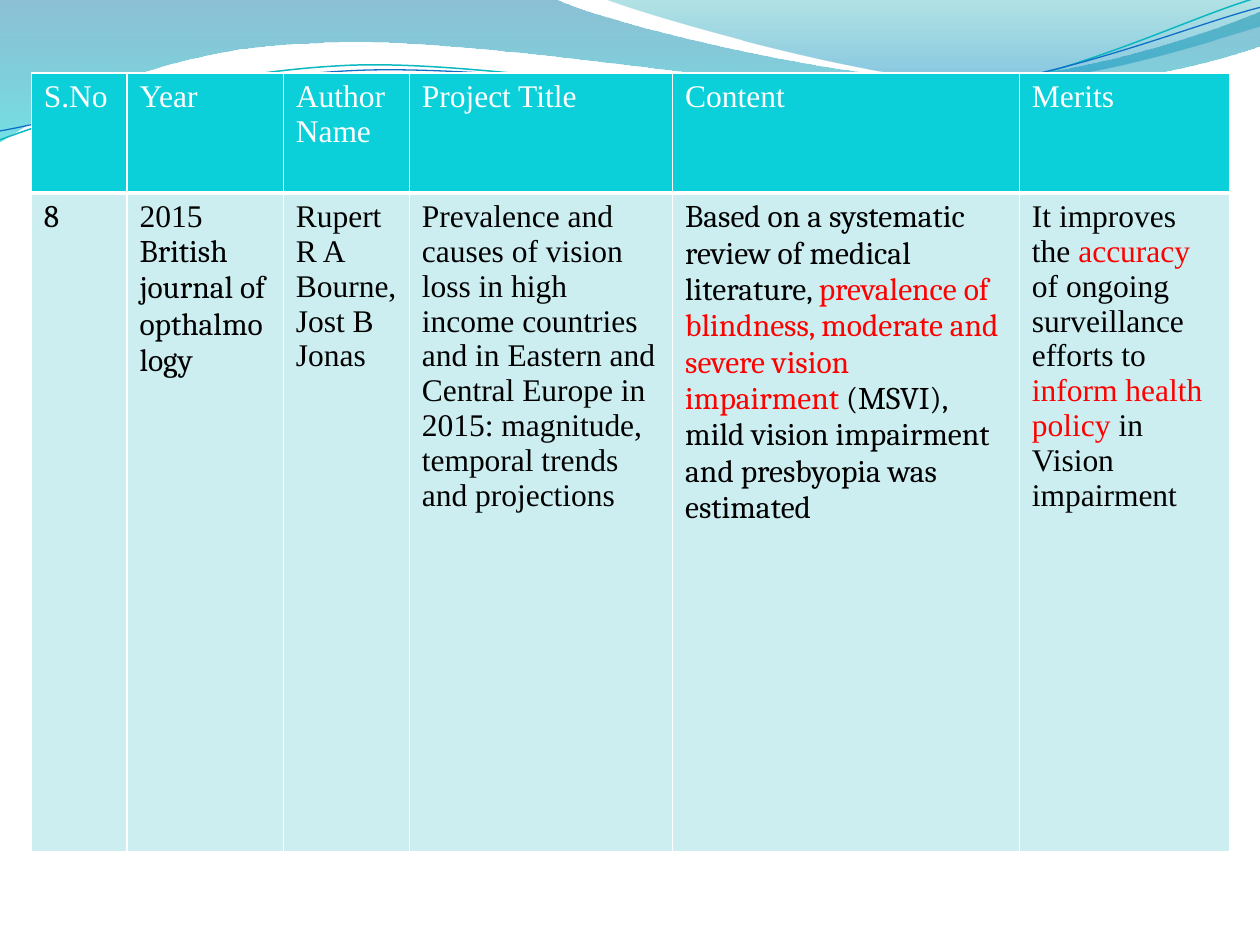
import lxml.etree
import pptx
import pptx.dml.color
import pptx.oxml.ns
import pptx.util

Cm = pptx.util.Cm
Pt = pptx.util.Pt
qn = pptx.oxml.ns.qn

COLORS = {
    "white": "FFFFFF", "ink": "000000", "accent": "FF0000",
    "header": "0BD0D9", "body": "CCEEF1",
    "deep blue": "0074A1", "aqua": "00C6CF", "teal": "00A1A9", "sky": "008BBF",
    "teal line": "0AB8BF", "blue line": "0F6FC6",
}
SERIF, CAMBRIA = "Times New Roman", "Cambria"

BANDS = [
    ([(0, 0), (11.18, -0.03), (12.09, 0.43, 16.87, 1.6, 19.25, 1.6),
      (21.67, 1.6, 24.33, 0.66, 25.4, 0.23), (25.43, 0.91),
      (24.97, 1.12, 22.1, 1.93, 18.95, 1.91), (15.8, 1.91, 9.7, 0.71, 6.53, 0.86),
      (3.28, 0.91, 1.17, 2.11, -0.03, 2.87)],
     [(0, "deep blue", 45), (1, "aqua", 55)]),
    ([(12.17, -0.03), (12.93, 0.28, 17.32, 1.57, 19.53, 1.65),
      (21.74, 1.75, 24.41, 0.81, 25.4, 0.53), (25.4, 0)],
     [(0, "teal", 30), (0.8, "sky", 45)]),
]
STRANDS = [
    ([(-0.05, 2.22), (1.19, 1.82, 4.02, 1.04, 7.05, 1.05),
      (10.05, 1.07, 15.02, 2.37, 18.08, 2.29), (21.13, 2.2, 23.87, 0.91, 25.41, 0.55)],
     "teal line", 0.85),
    ([(-0.04, 2.04), (1.16, 1.9, 4.18, 1.15, 7.2, 1.16),
      (10.25, 1.18, 15.13, 2.25, 18.18, 2.17), (21.21, 2.1, 23.93, 1.06, 25.45, 0.75)],
     "blue line", 0.75),
]
STRAND_TILT = 357.3

COLUMN_WIDTHS = [1.93, 3.15, 2.54, 5.31, 6.99, 4.24]
ROW_HEIGHTS = [2.42, 13.28]
HEADINGS = ["S.No", "Year", "Author Name", "Project Title", "Content", "Merits"]
STUDY = [
    [(CAMBRIA, [("8", "ink")])],
    [(SERIF, [("2015", "ink")]), (CAMBRIA, [("British journal of opthalmology", "ink")])],
    [(SERIF, [("Rupert R A Bourne,Jost B Jonas", "ink")])],
    [(SERIF, [("Prevalence and causes of vision loss in high income countries and in "
               "Eastern and Central Europe in 2015: magnitude, temporal trends and "
               "projections", "ink")])],
    [(CAMBRIA, [("Based on a systematic review of medical literature, ", "ink"),
                ("prevalence of blindness, moderate and severe vision impairment ", "accent"),
                ("(MSVI), mild vision impairment and presbyopia was estimated", "ink")])],
    [(SERIF, [("It improves the ", "ink"), ("accuracy", "accent"),
              (" of ongoing surveillance efforts to ", "ink"),
              ("inform health policy ", "accent"), ("in Vision impairment", "ink")])],
]


def rgb(name):
    """Return the named colour."""
    return pptx.dml.color.RGBColor.from_string(COLORS[name])


def add_outline(slide, left, top, segments, close):
    """Draw an outline of lines and cubic curves offset from the given corner."""
    points = [(Cm(left + x), Cm(top + y)) for segment in segments
              for x, y in zip(segment[::2], segment[1::2])]
    builder = slide.shapes.build_freeform(*points[0])
    builder.add_line_segments(points[1:], close=close)
    outline = builder.convert_to_shape()
    outline.shadow.inherit = False
    steps = iter(list(outline._element.iter(qn("a:lnTo"))))
    for segment in segments[1:]:
        lines = [next(steps) for _ in segment[::2]]
        if len(lines) == 3:
            curve = lxml.etree.Element(qn("a:cubicBezTo"))
            lines[0].addprevious(curve)
            for line in lines:
                curve.append(line[0])
                line.getparent().remove(line)
    return outline


def add_waves(slide, left, top):
    """Draw the translucent bands and thin strands of the top decoration."""
    for segments, stops in BANDS:
        band = add_outline(slide, left, top, segments, True)
        band.line.fill.background()
        band.fill.gradient()
        band.fill.gradient_angle = 270
        for stop, (position, color, opacity) in zip(band.fill.gradient_stops, stops):
            stop.position = position
            stop.color.rgb = rgb(color)
        tints = band._element.spPr.iter(qn("a:srgbClr"))
        for tint, (position, color, opacity) in zip(list(tints), stops):
            lxml.etree.SubElement(tint, qn("a:alpha"), val=str(opacity * 1000))
    for segments, color, width in STRANDS:
        strand = add_outline(slide, left, top, segments, False)
        strand.rotation = STRAND_TILT
        strand.fill.background()
        strand.line.color.rgb = rgb(color)
        strand.line.width = Pt(width)


def style_cell(cell, fill, bottom=1, top=1):
    """Fill a cell and give it white borders of the given widths."""
    cell.fill.solid()
    cell.fill.fore_color.rgb = rgb(fill)
    properties = cell._tc.get_or_add_tcPr()
    sides = [("a:lnL", 1), ("a:lnR", 1), ("a:lnT", top), ("a:lnB", bottom)]
    for index, (side, width) in enumerate(sides):
        border = lxml.etree.Element(qn(side), w=str(Pt(width)))
        solid = lxml.etree.SubElement(border, qn("a:solidFill"))
        lxml.etree.SubElement(solid, qn("a:srgbClr"), val=COLORS["white"])
        properties.insert(index, border)


def write_cell(cell, paragraphs):
    """Write paragraphs of coloured runs into a cell."""
    frame = cell.text_frame
    for index, (font, pieces) in enumerate(paragraphs):
        paragraph = frame.add_paragraph() if index else frame.paragraphs[0]
        for text, color in pieces:
            run = paragraph.add_run()
            run.text = text
            run.font.name = font
            run.font.size = Pt(18)
            run.font.bold = False
            run.font.color.rgb = rgb(color)


def add_survey_table(slide, left, top):
    """Place the literature survey table at the given corner."""
    survey = slide.shapes.add_table(
        len(ROW_HEIGHTS), len(COLUMN_WIDTHS), Cm(left), Cm(top),
        Cm(sum(COLUMN_WIDTHS)), Cm(sum(ROW_HEIGHTS))).table
    for row, height in zip(survey.rows, ROW_HEIGHTS):
        row.height = Cm(height)
    for index, width in enumerate(COLUMN_WIDTHS):
        survey.columns[index].width = Cm(width)
        heading, entry = survey.cell(0, index), survey.cell(1, index)
        style_cell(heading, "header", bottom=3)
        style_cell(entry, "body", top=3)
        write_cell(heading, [(SERIF, [(HEADINGS[index], "white")])])
        write_cell(entry, STUDY[index])


def main():
    """Build the literature survey slide."""
    deck = pptx.Presentation()
    deck.slide_width, deck.slide_height = Cm(25.4), Cm(19.05)
    slide = deck.slides.add_slide(deck.slide_layouts[6])
    add_waves(slide, 0, 0)
    add_survey_table(slide, 0.63, 1.47)
    deck.save("out.pptx")


if __name__ == "__main__":
    main()
